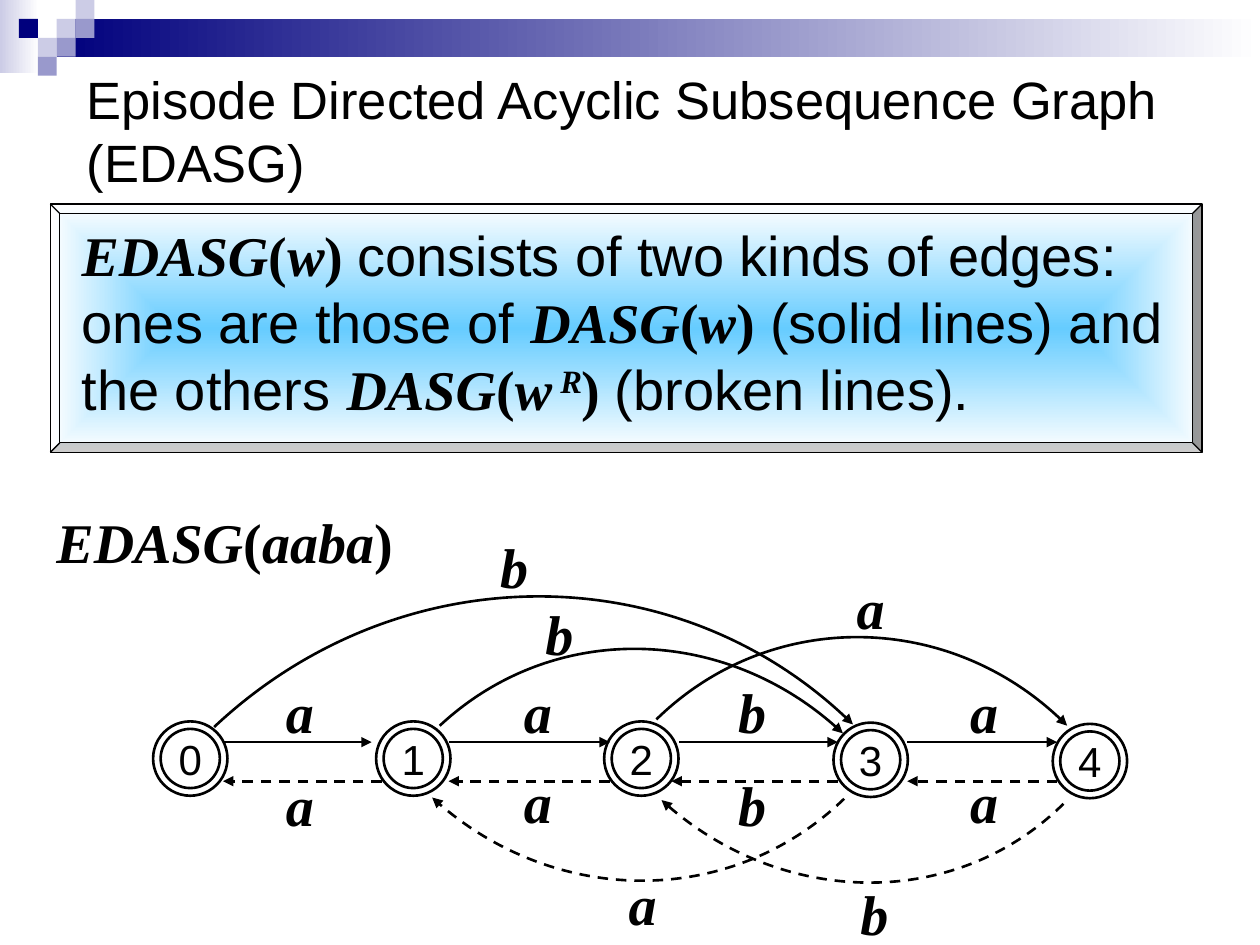
from dataclasses import dataclass

from lxml import etree
from pptx import Presentation
from pptx.dml.color import RGBColor
from pptx.enum.dml import MSO_LINE
from pptx.enum.shapes import MSO_CONNECTOR, MSO_SHAPE
from pptx.enum.text import MSO_ANCHOR, MSO_AUTO_SIZE, PP_ALIGN
from pptx.oxml.ns import qn
from pptx.util import Inches, Pt

RECT, OVAL, BEVEL = MSO_SHAPE.RECTANGLE, MSO_SHAPE.OVAL, MSO_SHAPE.BEVEL
DASH, LINE = MSO_LINE.DASH, MSO_CONNECTOR.STRAIGHT
MID, CENTER, FIXED = MSO_ANCHOR.MIDDLE, PP_ALIGN.CENTER, MSO_AUTO_SIZE.NONE
SANS, SERIF = "Arial", "Times New Roman"
BLACK, WHITE, NAVY, LILAC, MAUVE = "000000", "FFFFFF", "00007D", "CCCCE6", "9999CC"
CELL = 0.15  # side of one square in the header grid
INNER, OUTER = 0.47, 0.59  # node ring sizes
TOP, LOW = 5.89, 6.2  # rows of the straight edges


@dataclass
class Part:
    """A run of text with its style."""
    text: str
    size: float = 32
    math: bool = True
    slant: bool = True
    raised: bool = False


@dataclass
class Node:
    """A state of the graph, by its centre."""
    name: str
    x: float
    y: float


@dataclass
class Edge:
    """A straight edge pair: solid span, broken span, label places."""
    name: str
    solid: tuple
    broken: tuple
    left: float
    below: float


@dataclass
class Arc:
    """A curved edge: four curve points and a label place."""
    name: str
    points: tuple
    label: tuple
    broken: bool = False


def sign(text: str) -> Part:
    """Upright bold serif text."""
    return Part(text, slant=False)


def plain(text: str, size: float = 32) -> Part:
    """Sans text."""
    return Part(text, size, math=False, slant=False)


def paint(color, code: str) -> None:
    """Set a colour from a hex string."""
    color.rgb = RGBColor.from_string(code)


def blend(fill, start: str, end: str) -> None:
    """Fill with a two-colour blend, first colour at the right."""
    fill.gradient()
    fill.gradient_angle = 180
    for stop, code in zip(fill.gradient_stops, (start, end)):
        paint(stop.color, code)


def pen(line, width: float = 1.5, broken: bool = False, arrow: bool = False) -> None:
    """Style a black line."""
    paint(line.color, BLACK)
    line.width = Pt(width)
    if broken:
        line.dash_style = DASH
    if arrow:
        etree.SubElement(line._get_or_add_ln(), qn("a:tailEnd"), type="triangle")


def shape(kind, x: float, y: float, w: float, h: float, code: str = ""):
    """Add a preset shape without line or shadow."""
    item = page.shapes.add_shape(kind, Inches(x), Inches(y), Inches(w), Inches(h))
    item.shadow.inherit = False
    item.line.fill.background()
    if code:
        item.fill.solid()
        paint(item.fill.fore_color, code)
    else:
        item.fill.background()
    return item


def write(frame, parts: list, wrap: bool = False) -> None:
    """Fill a text frame run by run."""
    frame.word_wrap = wrap
    frame.auto_size = FIXED
    for part in parts:
        run = frame.paragraphs[0].add_run()
        run.text = part.text
        font = run.font
        font.name = SERIF if part.math else SANS
        font.size = Pt(part.size)
        font.bold, font.italic = part.math, part.slant
        paint(font.color, BLACK)
        if part.raised:
            run._r.get_or_add_rPr().set("baseline", "30000")


def label(x: float, y: float, parts: list, w: float = 0.42, h: float = 0.64,
          wrap: bool = False):
    """Add a text box."""
    box = page.shapes.add_textbox(Inches(x), Inches(y), Inches(w), Inches(h))
    write(box.text_frame, parts, wrap)
    return box.text_frame


def draw_node(node: Node) -> None:
    """Draw a double ring with its number."""
    for side, code in ((INNER, WHITE), (OUTER, "")):
        ring = shape(OVAL, node.x - side / 2, node.y - side / 2, side, side, code)
        pen(ring.line)
        if code:
            write(ring.text_frame, [plain(node.name, 24)])
            ring.text_frame.vertical_anchor = MID
            ring.text_frame.paragraphs[0].alignment = CENTER


def draw_edge(edge: Edge) -> None:
    """Draw a solid edge, its broken return and both labels."""
    for (start, end), row, broken in ((edge.solid, TOP, False), (edge.broken, LOW, True)):
        line = page.shapes.add_connector(
            LINE, Inches(start), Inches(row), Inches(end), Inches(row))
        pen(line.line, broken=broken, arrow=True)
        etree.SubElement(line._element.spPr, qn("a:effectLst"))
    for row in (5.33, edge.below):
        label(edge.left, row, [Part(edge.name)])


def draw_arc(arc: Arc) -> None:
    """Draw one cubic curve with an arrowhead and its label."""
    start, *rest = [(Inches(x), Inches(y)) for x, y in arc.points]
    form = page.shapes.build_freeform(*start)
    form.add_line_segments(rest, close=False)
    item = form.convert_to_shape()
    item.shadow.inherit = False
    item.fill.background()
    pen(item.line, broken=arc.broken, arrow=True)
    track = item._element.find(".//" + qn("a:path"))
    curve = etree.SubElement(track, qn("a:cubicBezTo"))
    for step in track.findall(qn("a:lnTo")):
        curve.append(step[0])
        track.remove(step)
    label(*arc.label, [Part(arc.name)])


SQUARES = [(3, 1, LILAC), (4, 0, LILAC), (4, 1, MAUVE), (2, 2, LILAC),
           (1, 1, NAVY), (3, 2, MAUVE), (2, 3, MAUVE)]
NODES = [Node("0", 1.51, 6.02), Node("1", 3.28, 6.02), Node("2", 5.09, 6.02),
         Node("3", 6.91, 6.03), Node("4", 8.65, 6.04)]
EDGES = [Edge("a", (1.77, 2.95), (3.03, 1.77), 2.17, 6.07),
         Edge("a", (3.56, 4.84), (4.84, 3.56), 4.06, 6.04),
         Edge("b", (5.39, 6.65), (6.65, 5.33), 5.76, 6.07),
         Edge("a", (7.2, 8.39), (8.39, 7.2), 7.6, 6.04)]
ARCS = [Arc("b", ((1.7, 5.77), (3.16, 4.4), (5.4, 4.4), (6.77, 5.75)), (3.87, 4.18)),
        Arc("b", ((3.49, 5.76), (4.38, 4.93), (5.78, 4.96), (6.69, 5.82)), (4.23, 4.71)),
        Arc("a", ((5.21, 5.71), (6.11, 4.83), (7.57, 4.85), (8.47, 5.76)), (6.7, 4.5)),
        Arc("b", ((8.44, 6.38), (7.59, 7.22), (6.18, 7.2), (5.25, 6.35)), (6.73, 6.93), True),
        Arc("a", ((6.7, 6.34), (5.81, 7.2), (4.38, 7.2), (3.43, 6.33)), (4.89, 6.85), True)]
CLAIM = [Part("EDASG"), sign("("), Part("w"), sign(") "),
         plain("consists of two kinds of edges: ones are those of "),
         Part("DASG"), sign("("), Part("w"), sign(")"),
         plain(" (solid lines) and the others "),
         Part("DASG"), sign("("), Part("w"), Part(" R", raised=True), sign(") "),
         plain("(broken lines).")]

deck = Presentation()
deck.slide_width, deck.slide_height = Inches(10), Inches(7.5)
page = deck.slides.add_slide(deck.slide_layouts[6])

blend(shape(RECT, 0, 0, 0.31, 0.58).fill, WHITE, LILAC)
blend(shape(RECT, 3 * CELL, CELL, 10 - 3 * CELL, 2 * CELL).fill, WHITE, NAVY)
for col, row, code in SQUARES:
    shape(RECT, col * CELL, row * CELL, CELL, CELL, code)

panel = shape(BEVEL, 0.4, 1.62, 9.14, 1.97)
panel.adjustments[0] = 0.038
blend(panel.fill, "66CCFF", WHITE)
slope = panel._element.find(".//" + qn("a:lin"))
core = etree.Element(qn("a:path"), {"path": "rect"})
etree.SubElement(core, qn("a:fillToRect"), dict.fromkeys("ltrb", "50000"))
slope.getparent().replace(slope, core)
pen(panel.line, 0.74)

title = [plain("Episode Directed Acyclic Subsequence Graph (EDASG)", 30)]
label(0.59, 0.6, title, 8.74, 0.87, True).vertical_anchor = MID
label(0.35, 3.98, [Part("EDASG"), sign("("), Part("aaba"), sign(")")], 2.87)
for node in NODES:
    draw_node(node)
for edge in EDGES:
    draw_edge(edge)
for arc in ARCS:
    draw_arc(arc)
label(0.55, 1.7, CLAIM, 8.86, 1.7, True)

deck.save("out.pptx")
